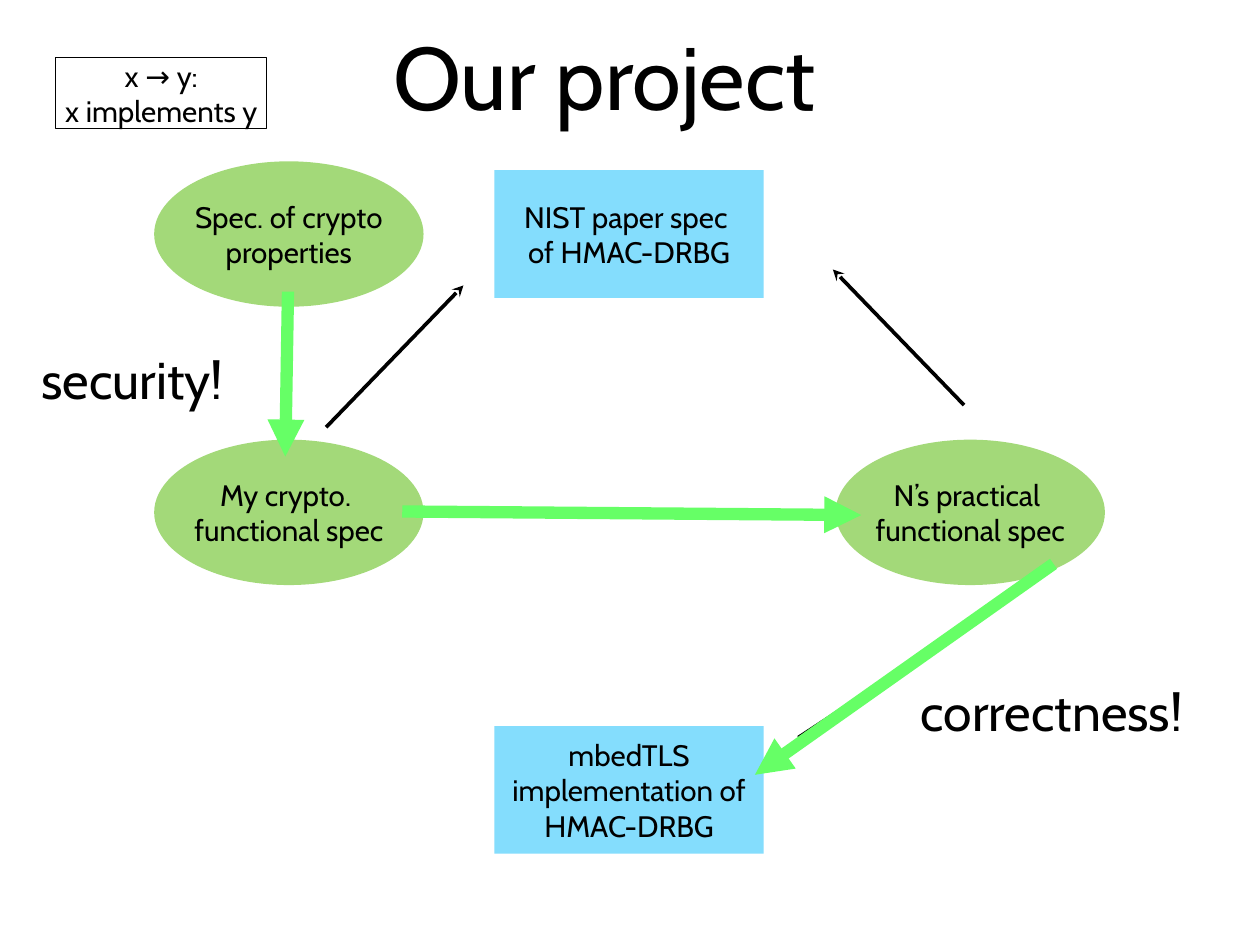
from pptx import Presentation
from pptx.dml.color import RGBColor
from pptx.enum.shapes import MSO_CONNECTOR, MSO_SHAPE
from pptx.enum.text import MSO_ANCHOR, PP_ALIGN
from pptx.oxml.ns import qn
from pptx.util import Inches, Pt
from lxml.etree import SubElement

FONT = "Cabin"
HUES = {"ink": "000000", "paper": "84DDFD", "spec": "A3D979", "proof": "66FF66"}
WIDE = 3.04
COLS = {"left": 1.74, "mid": 5.58, "right": 9.43}
KINDS = {
    "paper": (MSO_SHAPE.RECTANGLE, 1.44),
    "spec": (MSO_SHAPE.OVAL, 1.64),
}
NODES = [
    ("paper", "mid", 1.92, ["NIST paper spec ", "of HMAC-DRBG"]),
    ("paper", "mid", 8.19, ["mbedTLS implementation of HMAC-DRBG"]),
    ("spec", "right", 4.96, ["N’s practical ", "functional spec"]),
    ("spec", "left", 4.96, ["My crypto. ", "functional spec"]),
    ("spec", "left", 1.82, ["Spec. of crypto properties"]),
]
LINKS = [
    ("ink", (10.88, 4.57), (9.4, 3.04)),
    ("ink", (3.68, 4.82), (5.23, 3.22)),
    ("ink", (9.01, 8.32), (10.75, 7.18)),
    ("proof", (3.25, 3.29), (3.22, 5.15)),
    ("proof", (4.54, 5.77), (9.72, 5.81)),
    ("proof", (11.89, 6.36), (8.52, 8.74)),
]
STYLES = {"ink": (3, "stealth"), "proof": (10, "triangle")}
LABELS = [
    ((1.1, 0, 11.44, 1.69), 72, "Our project"),
    ((0.34, 3.92, 2.31, 0.7), 42, "security!"),
    ((10.2, 7.67, 3.34, 0.7), 42, "correctness!"),
]
LEGEND = ((0.63, 0.65, 2.38, 0.8), ["x → y:", "x implements y"])


def tint(name):
    return RGBColor.from_string(HUES[name])


def write(shape, lines, size, wrap):
    frame = shape.text_frame
    frame.word_wrap = wrap
    frame.vertical_anchor = MSO_ANCHOR.MIDDLE
    frame.margin_left = frame.margin_right = 0
    frame.margin_top = frame.margin_bottom = 0
    for i, line in enumerate(lines):
        para = frame.paragraphs[0] if i == 0 else frame.add_paragraph()
        para.alignment = PP_ALIGN.CENTER
        run = para.add_run()
        run.text = line
        run.font.name = FONT
        run.font.size = Pt(size)
        run.font.color.rgb = tint("ink")


def add_box(slide, form, box):
    shape = slide.shapes.add_shape(form, *map(Inches, box))
    shape.shadow.inherit = False
    return shape


def add_node(slide, kind, col, top, lines):
    form, tall = KINDS[kind]
    shape = add_box(slide, form, (COLS[col], top, WIDE, tall))
    shape.fill.solid()
    shape.fill.fore_color.rgb = tint(kind)
    shape.line.fill.background()
    write(shape, lines, 24, True)


def add_link(slide, hue, start, end):
    width, head = STYLES[hue]
    link = slide.shapes.add_connector(
        MSO_CONNECTOR.STRAIGHT, *map(Inches, start + end))
    link.line.width = Pt(width)
    link.line.color.rgb = tint(hue)
    props = link.element.spPr
    SubElement(props.find(qn("a:ln")), qn("a:tailEnd"), type=head)
    SubElement(props, qn("a:effectLst"))


def main():
    """Build the project slide: specs, papers and the proofs that link them."""
    deck = Presentation()
    deck.slide_width, deck.slide_height = Inches(14.22), Inches(10.66)
    slide = deck.slides.add_slide(deck.slide_layouts[6])
    for node in NODES:
        add_node(slide, *node)
    for link in LINKS:
        add_link(slide, *link)
    box, lines = LEGEND
    key = add_box(slide, MSO_SHAPE.RECTANGLE, box)
    key.fill.background()
    key.line.color.rgb = tint("ink")
    key.line.width = Pt(1)
    write(key, lines, 24, False)
    for box, size, text in LABELS:
        label = slide.shapes.add_textbox(*map(Inches, box))
        write(label, [text], size, True)
    deck.save("out.pptx")


if __name__ == "__main__":
    main()
